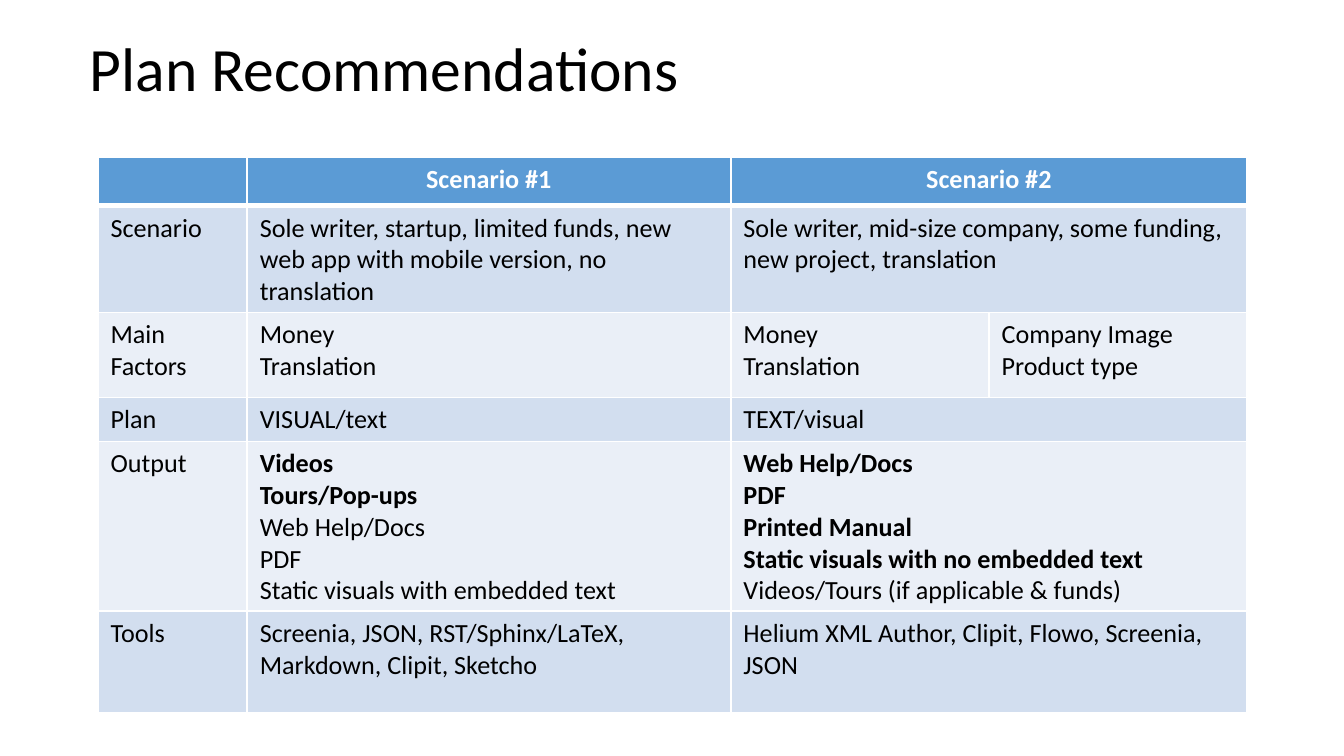
import dataclasses
import typing

import lxml.etree
import pptx
import pptx.dml.color
import pptx.enum.text
import pptx.oxml.ns
import pptx.util

Cm = pptx.util.Cm
Pt = pptx.util.Pt
RGB = pptx.dml.color.RGBColor
Align = pptx.enum.text.PP_ALIGN
qn = pptx.oxml.ns.qn


@dataclasses.dataclass(frozen=True)
class Theme:
    font: str = "Calibri"
    title_size: float = 33
    table_size: float = 14
    text: str = "000000"
    white: str = "FFFFFF"
    header: str = "5B9BD5"
    bands: tuple[str, str] = ("D2DEEF", "EAEFF7")
    rule: float = 1
    header_rule: float = 3


@dataclasses.dataclass(frozen=True)
class Entry:
    lines: tuple[str, ...] = ()
    bold_lines: int = 0


@dataclasses.dataclass(frozen=True)
class Row:
    height: float
    entries: tuple[Entry, ...]


THEME = Theme()
COLUMNS = (2.82, 9.14, 4.88, 4.88)
ROWS = (
    Row(0.92, (Entry(), Entry(("Scenario #1",), 1), Entry(("Scenario #2",), 1))),
    Row(1.93, (
        Entry(("Scenario",)),
        Entry(("Sole writer, startup, limited funds, new web app with mobile version, no translation",)),
        Entry(("Sole writer, mid-size company, some funding, new project, translation",)),
    )),
    Row(1.6, (
        Entry(("Main Factors",)),
        Entry(("Money", "Translation")),
        Entry(("Money", "Translation")),
        Entry(("Company Image", "Product type")),
    )),
    Row(0.81, (Entry(("Plan",)), Entry(("VISUAL/text",)), Entry(("TEXT/visual",)))),
    Row(3.05, (
        Entry(("Output",)),
        Entry(("Videos", "Tours/Pop-ups", "Web Help/Docs", "PDF",
               "Static visuals with embedded text"), 2),
        Entry(("Web Help/Docs", "PDF", "Printed Manual",
               "Static visuals with no embedded text",
               "Videos/Tours (if applicable & funds)"), 4),
    )),
    Row(1.93, (
        Entry(("Tools",)),
        Entry(("Screenia, JSON, RST/Sphinx/LaTeX, Markdown, Clipit, Sketcho",)),
        Entry(("Helium XML Author, Clipit, Flowo, Screenia, JSON",)),
    )),
)


def apply(target: typing.Any, values: dict[str, typing.Any]) -> None:
    for name, value in values.items():
        setattr(target, name, value)


def write(para: typing.Any, text: str, size: float, color: str, bold: bool = False) -> None:
    span = para.add_run()
    span.text = text
    apply(span.font, {"name": THEME.font, "size": Pt(size), "bold": bold})
    span.font.color.rgb = RGB.from_string(color)


def add_title(page: typing.Any, text: str) -> None:
    box = page.shapes.add_textbox(Cm(1.45), Cm(-0.03), Cm(21.89), Cm(2.77))
    apply(box.text_frame, {
        "word_wrap": True,
        "vertical_anchor": pptx.enum.text.MSO_ANCHOR.MIDDLE,
    })
    para = box.text_frame.paragraphs[0]
    para.line_spacing = 0.9
    write(para, text, THEME.title_size, THEME.text)


def draw_borders(cell: typing.Any, top: float, bottom: float) -> None:
    properties = cell._tc.get_or_add_tcPr()
    widths = {"lnL": THEME.rule, "lnR": THEME.rule, "lnT": top, "lnB": bottom}
    for position, (side, width) in enumerate(widths.items()):
        line = lxml.etree.Element(qn(f"a:{side}"), w=str(Pt(width)))
        fill = lxml.etree.SubElement(line, qn("a:solidFill"))
        lxml.etree.SubElement(fill, qn("a:srgbClr"), val=THEME.white)
        properties.insert(position, line)


def fill_cell(cell: typing.Any, entry: Entry, row_index: int) -> None:
    is_header = row_index == 0
    apply(cell, {
        "margin_left": Cm(0.24), "margin_right": Cm(0.24),
        "margin_top": Cm(0.12), "margin_bottom": Cm(0.12),
    })
    cell.fill.solid()
    cell.fill.fore_color.rgb = RGB.from_string(
        THEME.header if is_header else THEME.bands[(row_index - 1) % 2])
    draw_borders(
        cell,
        THEME.header_rule if row_index == 1 else THEME.rule,
        THEME.header_rule if is_header else THEME.rule,
    )
    frame = cell.text_frame
    if not entry.lines:
        lxml.etree.SubElement(frame.paragraphs[0]._p, qn("a:endParaRPr"),
                              sz=str(int(THEME.table_size * 100)))
    for index, text in enumerate(entry.lines):
        para = frame.add_paragraph() if index else frame.paragraphs[0]
        para.alignment = Align.CENTER if is_header else Align.LEFT
        write(para, text, THEME.table_size,
              THEME.white if is_header else THEME.text, index < entry.bold_lines)


def add_plan_table(page: typing.Any) -> None:
    table = page.shapes.add_table(
        len(ROWS), len(COLUMNS), Cm(1.85), Cm(2.97),
        Cm(sum(COLUMNS)), Cm(sum(row.height for row in ROWS))).table
    for column, width in zip(table.columns, COLUMNS):
        column.width = Cm(width)
    for row_index, row in enumerate(ROWS):
        table.rows[row_index].height = Cm(row.height)
        missing = len(COLUMNS) - len(row.entries)
        for column_index, entry in enumerate(row.entries + (Entry(),) * missing):
            fill_cell(table.cell(row_index, column_index), entry, row_index)
        if missing:
            table.cell(row_index, 2).merge(table.cell(row_index, 3))


deck = pptx.Presentation()
apply(deck, {"slide_width": Cm(25.4), "slide_height": Cm(14.29)})
page = deck.slides.add_slide(deck.slide_layouts[6])
add_title(page, "Plan Recommendations")
add_plan_table(page)
deck.save("out.pptx")
